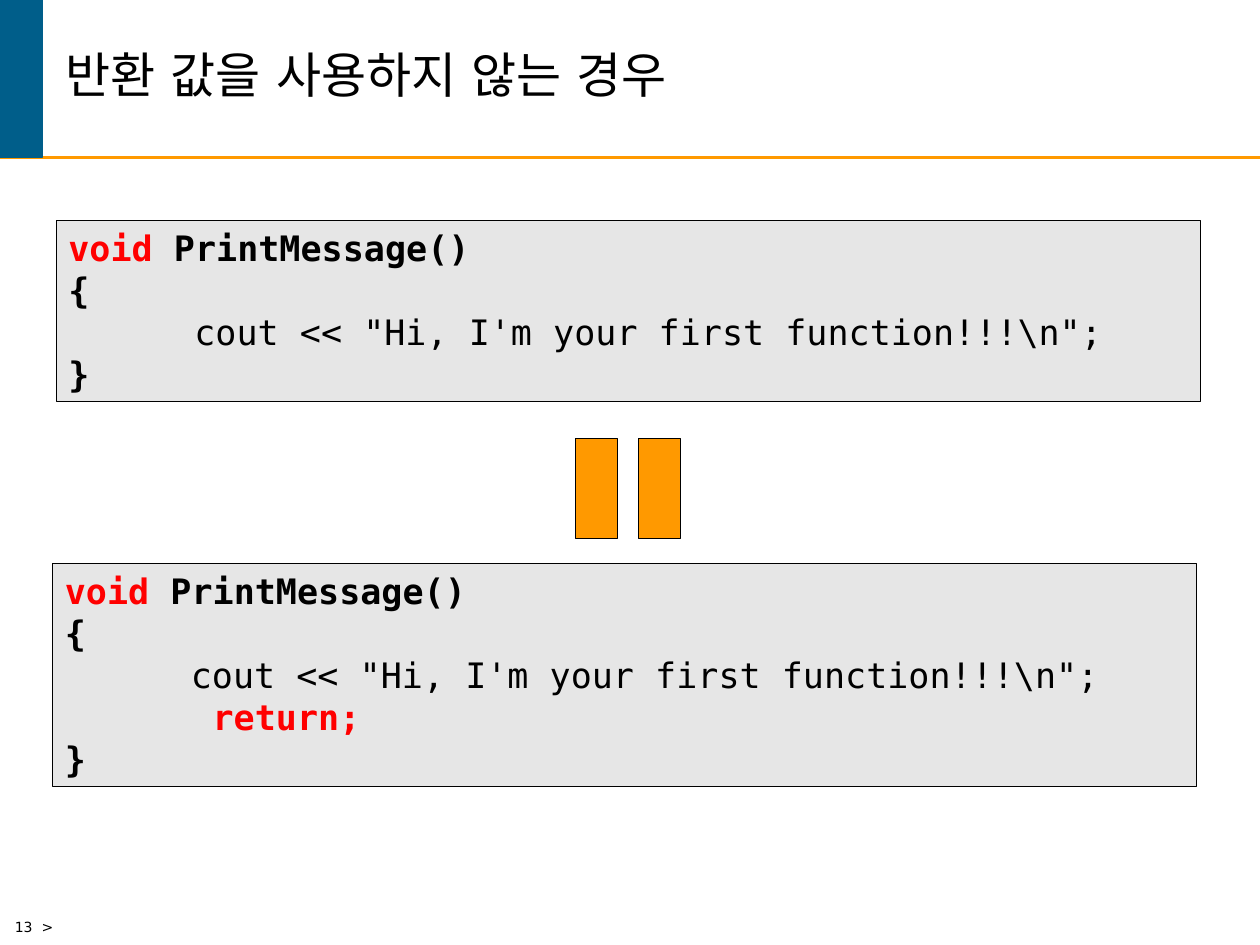
from dataclasses import dataclass

from lxml import etree
from pptx import Presentation
from pptx import util as u
from pptx.dml.color import RGBColor
from pptx.enum import shapes, text
from pptx.oxml.ns import qn

Pt = u.Pt
COLORS = {
    "black": "000000",
    "keyword": "FF0000",
    "panel": "E6E6E6",
    "orange": "FF9900",
    "blue": "005E8A",
}
SANS, MONO = "DejaVu Sans", "DejaVu Sans Mono"
TAB_STOP = 72


@dataclass(frozen=True)
class Box:
    left: float
    top: float
    width: float
    height: float

    def lengths(self) -> list:
        return [Pt(n) for n in (self.left, self.top, self.width, self.height)]


@dataclass(frozen=True)
class Span:
    words: str
    color: str = "black"
    bold: bool = True


HEAD = [[Span("void", "keyword"), Span(" PrintMessage()")], [Span("{")],
        [Span("\tcout << \"Hi, I'm your first function!!!\\n\";", bold=False)]]
RETURN = [[Span("       return;", "keyword")]]
TAIL = [[Span("}")]]
PANELS = [
    (Box(32, 126, 653.8, 103.3), HEAD + TAIL),
    (Box(30, 321.8, 653.8, 127.4), HEAD + RETURN + TAIL),
]


def rgb(name: str) -> RGBColor:
    return RGBColor.from_string(COLORS[name])


def add_text(paragraph, words: str, *, size: float, font: str = SANS,
             color: str = "black", bold: bool = False) -> None:
    run = paragraph.add_run()
    run.text = words
    run.font.name = font
    run.font.size = Pt(size)
    run.font.bold = bold
    run.font.color.rgb = rgb(color)
    # East Asian text, and the spaces within it, use the same font
    etree.SubElement(run._r.get_or_add_rPr(), qn("a:ea"), typeface=font)


def add_tab_stop(paragraph, position: float) -> None:
    tabs = etree.SubElement(paragraph._p.get_or_add_pPr(), qn("a:tabLst"))
    etree.SubElement(tabs, qn("a:tab"), pos=str(Pt(position)), algn="l")


def add_filled(slide, kind, box: Box, *, fill: str, line: str, weight: float):
    shape = slide.shapes.add_shape(kind, *box.lengths())
    shape.shadow.inherit = False
    shape.fill.solid()
    shape.fill.fore_color.rgb = rgb(fill)
    shape.line.color.rgb = rgb(line)
    shape.line.width = Pt(weight)
    return shape


def add_code_panel(slide, box: Box, lines: list) -> None:
    panel = add_filled(slide, shapes.MSO_SHAPE.RECTANGLE, box,
                       fill="panel", line="black", weight=0.25)
    frame = panel.text_frame
    frame.word_wrap = True
    frame.vertical_anchor = text.MSO_ANCHOR.TOP
    frame.auto_size = text.MSO_AUTO_SIZE.SHAPE_TO_FIT_TEXT
    for index, spans in enumerate(lines):
        paragraph = frame.add_paragraph() if index else frame.paragraphs[0]
        add_tab_stop(paragraph, TAB_STOP)
        paragraph.alignment = text.PP_ALIGN.LEFT
        for span in spans:
            add_text(paragraph, span.words, size=20, font=MONO,
                     color=span.color, bold=span.bold)


def main() -> None:
    presentation = Presentation()
    presentation.slide_width, presentation.slide_height = Pt(720), Pt(540)
    slide = presentation.slides.add_slide(presentation.slide_layouts[5])

    # Header rule and corner block
    rule = slide.shapes.add_connector(
        shapes.MSO_CONNECTOR.STRAIGHT, Pt(0), Pt(90), Pt(720), Pt(90))
    rule.line.color.rgb = rgb("orange")
    rule.line.width = Pt(1.5)
    etree.SubElement(rule._element.spPr, qn("a:effectLst"))
    add_filled(slide, shapes.MSO_SHAPE.RECTANGLE, Box(0, 0, 24, 90),
               fill="blue", line="blue", weight=1)

    # Title
    title = slide.shapes.title
    title.left, title.top, title.width, title.height = Box(30.2, 0, 672, 90).lengths()
    title.text_frame.vertical_anchor = text.MSO_ANCHOR.MIDDLE
    paragraph = title.text_frame.paragraphs[0]
    paragraph.alignment = text.PP_ALIGN.LEFT
    paragraph.line_spacing = 0.85
    add_text(paragraph, "반환 값을 사용하지 않는 경우", size=28)

    # Page number
    number = slide.shapes.add_textbox(*Box(1.4, 521.3, 100.8, 18.7).lengths())
    number.text_frame.word_wrap = True
    add_text(number.text_frame.paragraphs[0], "13  >", size=8)

    # Two equivalent functions, with an upright equals sign between them
    for box, lines in PANELS:
        add_code_panel(slide, box, lines)
    equals = add_filled(slide, shapes.MSO_SHAPE.MATH_EQUAL,
                        Box(319.9, 228, 77.8, 102.2),
                        fill="orange", line="black", weight=0.75)
    equals.rotation = 270

    presentation.save("out.pptx")


if __name__ == "__main__":
    main()
